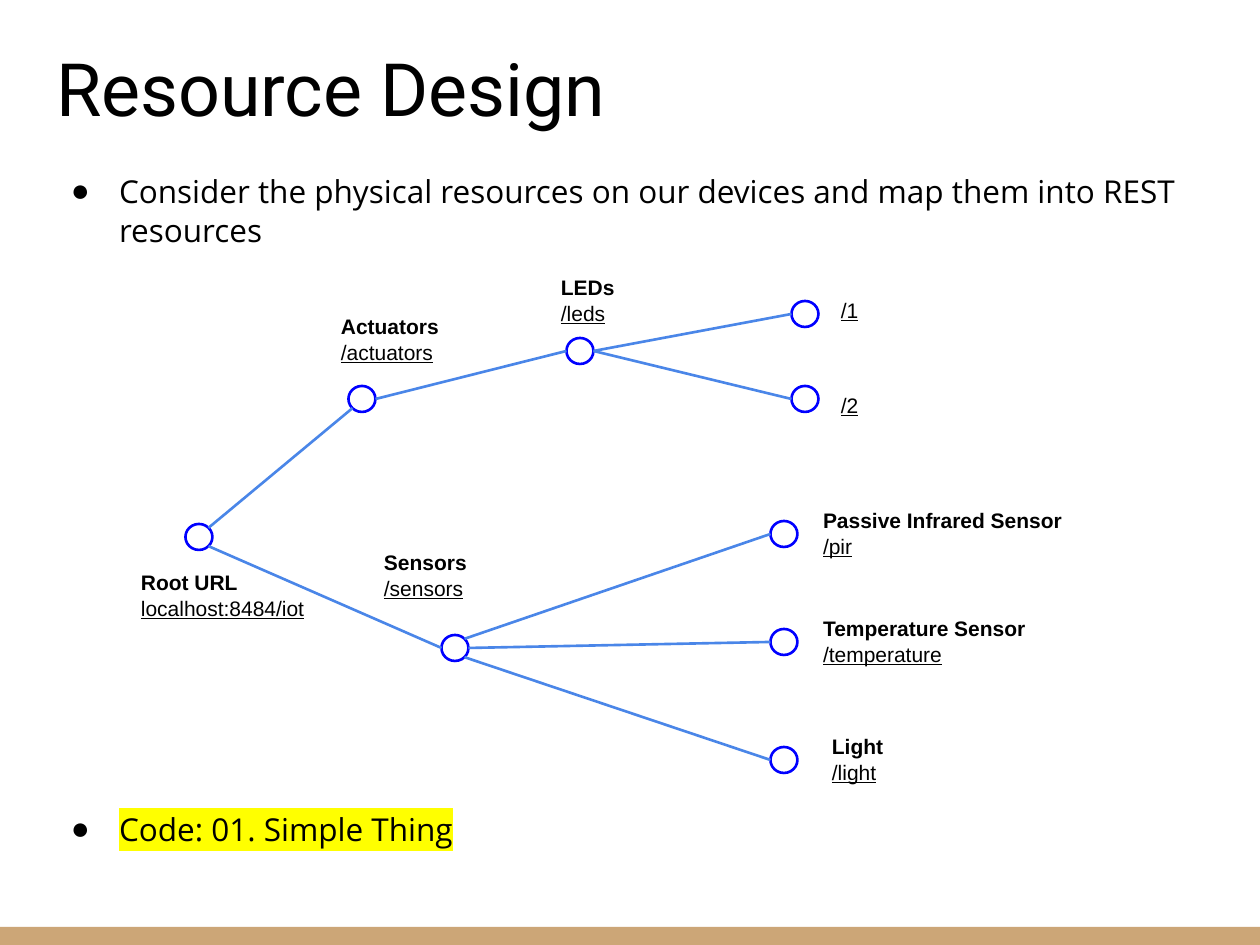
"""Build the Resource Design slide with a tree of REST resources."""
from math import sqrt

from lxml.etree import SubElement
from pptx import Presentation
from pptx.dml.color import RGBColor
from pptx.enum.shapes import MSO_CONNECTOR, MSO_SHAPE
from pptx.enum.text import MSO_ANCHOR, MSO_AUTO_SIZE, PP_ALIGN
from pptx.oxml.ns import qn
from pptx.util import Emu, Pt

THEME = {
    "ink": "000000", "paper": "FFFFFF", "bar": "CCA677", "node": "0000FF",
    "branch": "4A86E8", "marker": "FFFF00",
    "title": 42, "body": 18, "label": 12, "stroke": 1.5,
    "title_font": "Roboto", "body_font": "Open Sans", "label_font": "Arial",
}


def px(length):
    return Emu(round(length * 914400 / 126))


def write(paragraph, text, *, size, font, bold=False, underline=False, highlight=None):
    run = paragraph.add_run()
    run.text = text
    run.font.size = Pt(THEME[size])
    run.font.name = THEME[font]
    run.font.bold = bold
    run.font.underline = underline
    run.font.color.rgb = RGBColor.from_string(THEME["ink"])
    if highlight:
        properties = run.font._element
        marker = SubElement(properties, qn("a:highlight"))
        SubElement(marker, qn("a:srgbClr"), val=THEME[highlight])
        properties.find(qn("a:latin")).addprevious(marker)


deck = Presentation()
deck.slide_width, deck.slide_height = px(1260), px(945)
slide = deck.slides.add_slide(deck.slide_layouts[1])
title, body = slide.placeholders

for holder, top, height, anchor in (
    (title, 58, 86, MSO_ANCHOR.BOTTOM),
    (body, 158, 714, MSO_ANCHOR.TOP),
):
    holder.left, holder.top, holder.width, holder.height = px(43), px(top), px(1174), px(height)
    frame = holder.text_frame
    frame.auto_size = MSO_AUTO_SIZE.NONE
    frame.word_wrap = True
    frame.vertical_anchor = anchor
    frame.margin_left = frame.margin_right = frame.margin_top = frame.margin_bottom = px(13)

heading = title.text_frame.paragraphs[0]
heading.alignment = PP_ALIGN.LEFT
write(heading, "Resource Design", size="title", font="title_font")

points = (
    ("Consider the physical resources on our devices and map them into REST resources", 0, None),
    ("Code: 01. Simple Thing", 560, "marker"),
)
for index, (point, gap, highlight) in enumerate(points):
    bullet = body.text_frame.paragraphs[0] if index == 0 else body.text_frame.add_paragraph()
    bullet.line_spacing = 1.03
    bullet.space_before = px(gap)
    properties = bullet._p.get_or_add_pPr()
    properties.set("marL", str(px(63)))
    properties.set("indent", str(px(-48)))
    bullet_color = SubElement(properties, qn("a:buClr"))
    SubElement(bullet_color, qn("a:srgbClr"), val=THEME["ink"])
    SubElement(properties, qn("a:buChar"), char="●")
    write(bullet, point, size="body", font="body_font", highlight=highlight)

footer_bar = slide.shapes.add_shape(MSO_SHAPE.RECTANGLE, px(0), px(927), px(1260), px(18))
footer_bar.shadow.inherit = False
footer_bar.fill.solid()
footer_bar.fill.fore_color.rgb = RGBColor.from_string(THEME["bar"])
footer_bar.line.fill.background()

NODE_WIDTH, NODE_HEIGHT = 27, 26
resources = {
    "root": (199, 537, 128, 557, 199, "Root URL", "localhost:8484/iot"),
    "actuators": (362, 399, 328, 301, 199, "Actuators", "/actuators"),
    "leds": (580, 351, 548, 262, 199, "LEDs", "/leds"),
    "led 1": (805, 314, 828, 285, 199, "", "/1"),
    "led 2": (805, 399, 828, 380, 199, "", "/2"),
    "sensors": (455, 648, 371, 537, 199, "Sensors", "/sensors"),
    "pir": (784, 534, 810, 495, 306, "Passive Infrared Sensor", "/pir"),
    "temperature": (784, 642, 810, 603, 306, "Temperature Sensor", "/temperature"),
    "light": (784, 760, 819, 721, 278, "Light", "/light"),
}
for x, y, *_ in resources.values():
    node = slide.shapes.add_shape(
        MSO_SHAPE.OVAL, px(x - NODE_WIDTH / 2), px(y - NODE_HEIGHT / 2),
        px(NODE_WIDTH), px(NODE_HEIGHT))
    node.shadow.inherit = False
    node.fill.solid()
    node.fill.fore_color.rgb = RGBColor.from_string(THEME["paper"])
    node.line.color.rgb = RGBColor.from_string(THEME["node"])
    node.line.width = Pt(THEME["stroke"])

DIAGONAL = 1 / sqrt(2)
RIGHT, LEFT = (1, 0), (-1, 0)
UPPER_RIGHT, LOWER_RIGHT = (DIAGONAL, -DIAGONAL), (DIAGONAL, DIAGONAL)
LOWER_LEFT = (-DIAGONAL, DIAGONAL)
branches = (
    ("root", UPPER_RIGHT, "actuators", LOWER_LEFT),
    ("actuators", RIGHT, "leds", LEFT),
    ("leds", RIGHT, "led 1", LEFT),
    ("leds", RIGHT, "led 2", LEFT),
    ("root", LOWER_RIGHT, "sensors", LEFT),
    ("sensors", UPPER_RIGHT, "pir", LEFT),
    ("sensors", RIGHT, "temperature", LEFT),
    ("sensors", LOWER_RIGHT, "light", LEFT),
)
for parent, parent_side, child, child_side in branches:
    ends = []
    for resource, side in ((parent, parent_side), (child, child_side)):
        x, y = resources[resource][:2]
        ends += [px(x + side[0] * NODE_WIDTH / 2), px(y + side[1] * NODE_HEIGHT / 2)]
    branch = slide.shapes.add_connector(MSO_CONNECTOR.STRAIGHT, *ends)
    branch.line.color.rgb = RGBColor.from_string(THEME["branch"])
    branch.line.width = Pt(THEME["stroke"])
    SubElement(branch._element.spPr, qn("a:effectLst"))

for _, _, left, top, width, name, route in resources.values():
    label = slide.shapes.add_textbox(px(left), px(top), px(width), px(78 if name else 48))
    frame = label.text_frame
    frame.word_wrap = True
    frame.margin_left = frame.margin_right = frame.margin_top = frame.margin_bottom = px(13)
    line = frame.paragraphs[0]
    if name:
        write(line, name, size="label", font="label_font", bold=True)
        line = frame.add_paragraph()
    write(line, route, size="label", font="label_font", underline=True)

deck.save("out.pptx")
